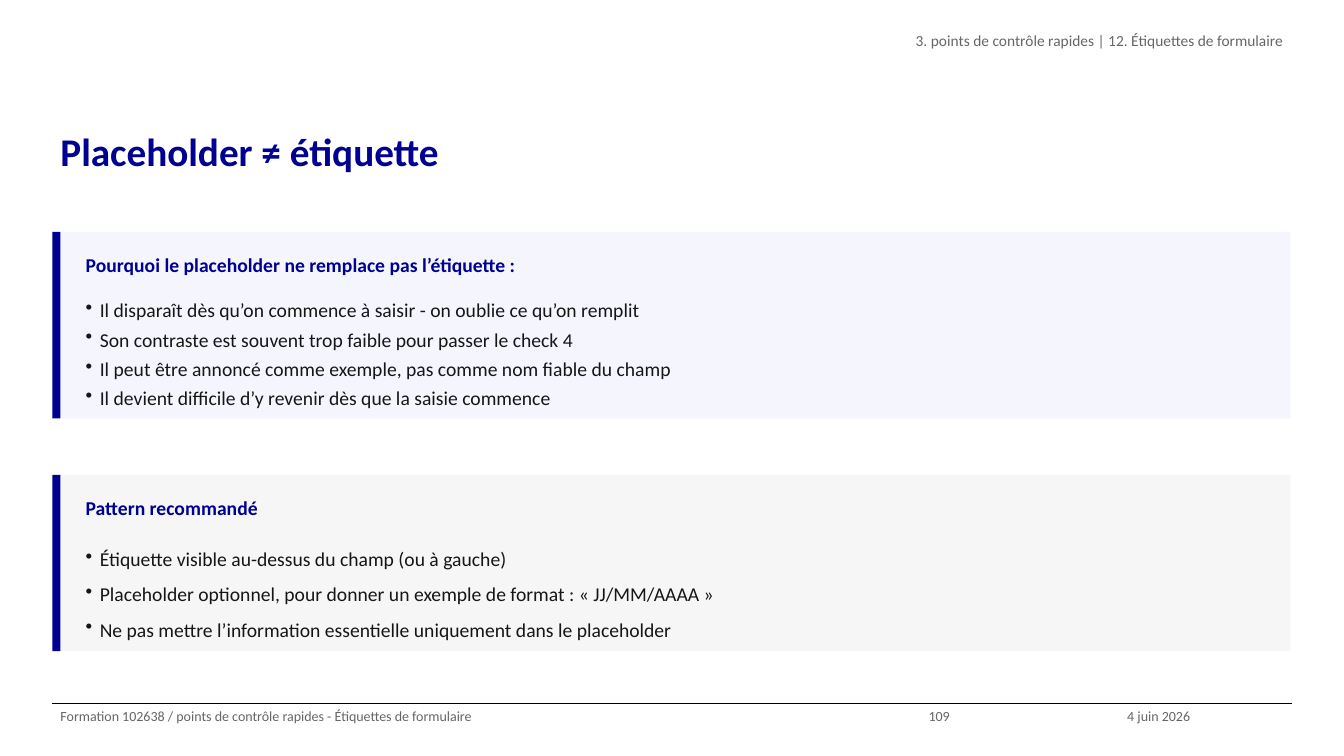
from lxml import etree
from pptx import Presentation
from pptx import util as u
from pptx.dml import color
from pptx.enum import shapes, text
from pptx.oxml import ns

SCALE = 9144
BLUE, INK, GREY = "000091", "161616", "666666"
LEFT, RIGHT, BAR_WIDTH = 52, 1280, 8
FOOTER_TOP = 698


def px(*lengths):
    return [u.Emu(length * SCALE) for length in lengths]


def rgb(value):
    return color.RGBColor.from_string(value)


def apply(target, formats):
    for name, value in formats.items():
        setattr(target, name, value)


def add_bullet(paragraph, indent):
    properties = paragraph._p.get_or_add_pPr()
    properties.set("marL", str(indent * SCALE))
    properties.set("indent", str(-indent * SCALE))
    etree.SubElement(properties, ns.qn("a:buChar")).set("char", "•")


def fill_text(shape, lines, size, ink, bold=False, inset=0, spacing=1.25,
              align=text.PP_ALIGN.LEFT, bullets=False):
    frame = shape.text_frame
    side, end = px(8, inset)
    apply(frame, {"word_wrap": True, "auto_size": text.MSO_AUTO_SIZE.NONE,
                  "vertical_anchor": text.MSO_ANCHOR.TOP,
                  "margin_left": side, "margin_right": side,
                  "margin_top": end, "margin_bottom": end})
    for index, line in enumerate(lines):
        paragraph = frame.add_paragraph() if index else frame.paragraphs[0]
        paragraph.text = line
        apply(paragraph, {"alignment": align, "line_spacing": spacing,
                          "space_before": u.Pt(0), "space_after": u.Pt(0)})
        if bullets:
            add_bullet(paragraph, 14)
        apply(paragraph.font, {"name": "Calibri", "size": u.Pt(size), "bold": bold})
        paragraph.font.color.rgb = rgb(ink)


def add_text(slide, box, lines, size, ink, **formats):
    fill_text(slide.shapes.add_textbox(*px(*box)), lines, size, ink, **formats)


def add_title(slide, box, title):
    shape = slide.shapes.title
    apply(shape, dict(zip(("left", "top", "width", "height"), px(*box))))
    fill_text(shape, [title], 28, BLUE, bold=True)


def add_rectangle(slide, box, fill):
    shape = slide.shapes.add_shape(shapes.MSO_SHAPE.RECTANGLE, *px(*box))
    shape.shadow.inherit = False
    shape.fill.solid()
    shape.fill.fore_color.rgb = rgb(fill)
    shape.line.fill.background()


def add_rule(slide, top):
    line = slide.shapes.add_connector(
        shapes.MSO_CONNECTOR.STRAIGHT, *px(LEFT, top, RIGHT + 1, top))
    line.line.width = u.Pt(0.8)
    line.line.color.rgb = rgb("000000")
    etree.SubElement(line._element.spPr, ns.qn("a:effectLst"))


def add_callout(slide, top, height, fill, heading, items, spacing):
    panel_left = LEFT + BAR_WIDTH
    add_rectangle(slide, (panel_left, top, RIGHT - panel_left, height), fill)
    add_rectangle(slide, (LEFT, top, BAR_WIDTH, height), BLUE)
    add_text(slide, (77, top + 10, 1193, 35), [heading], 14, BLUE, bold=True, inset=5)
    add_text(slide, (77, top + 55, 1193, height - 65), items, 14, INK,
             inset=5, spacing=spacing, bullets=True)


def main():
    presentation = Presentation()
    presentation.slide_width, presentation.slide_height = px(1333, 750)
    slide = presentation.slides.add_slide(presentation.slide_layouts[5])

    add_title(slide, (LEFT, 115, 1228, 105), "Placeholder ≠ étiquette")
    add_text(slide, (483, 26, 798, 52),
             ["3. points de contrôle rapides | 12. Étiquettes de formulaire"],
             11, GREY, align=text.PP_ALIGN.RIGHT)

    add_callout(slide, 230, 185, "F5F5FE",
                "Pourquoi le placeholder ne remplace pas l’étiquette :",
                ["Il disparaît dès qu’on commence à saisir - on oublie ce qu’on remplit",
                 "Son contraste est souvent trop faible pour passer le check 4",
                 "Il peut être annoncé comme exemple, pas comme nom fiable du champ",
                 "Il devient difficile d’y revenir dès que la saisie commence"], 1.25)
    add_callout(slide, 471, 175, "F6F6F6", "Pattern recommandé",
                ["Étiquette visible au-dessus du champ (ou à gauche)",
                 "Placeholder optionnel, pour donner un exemple de format : « JJ/MM/AAAA »",
                 "Ne pas mettre l’information essentielle uniquement dans le placeholder"], 1.5)

    add_rule(slide, FOOTER_TOP)
    footer = [
        (LEFT, 861, "Formation 102638 / points de contrôle rapides - Étiquettes de formulaire"),
        (913, 197, "109"),
        (1110, 171, "4 juin 2026"),
    ]
    for left, width, label in footer:
        add_text(slide, (left, FOOTER_TOP, width, 52), [label], 10, GREY)

    presentation.save("out.pptx")


if __name__ == "__main__":
    main()
